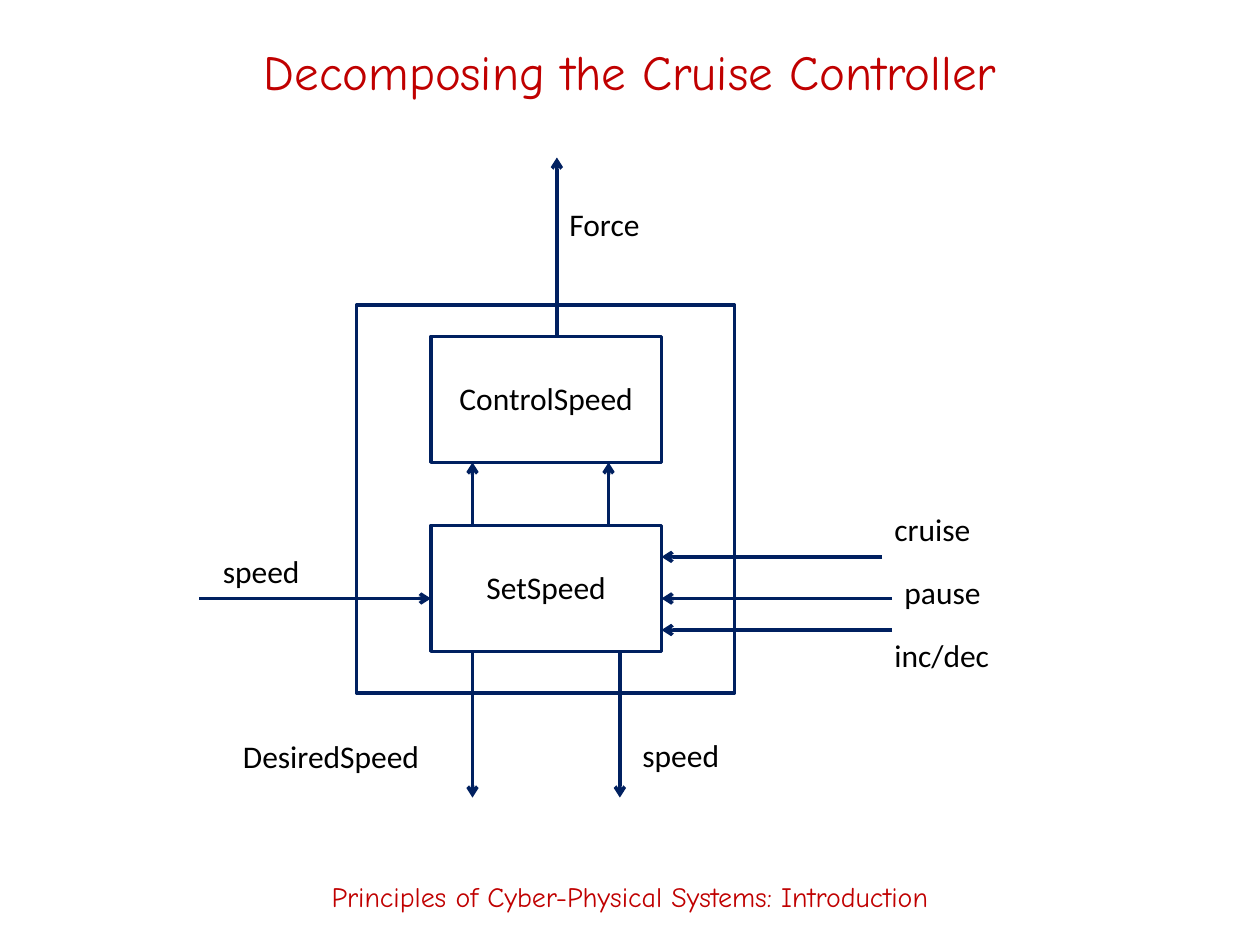
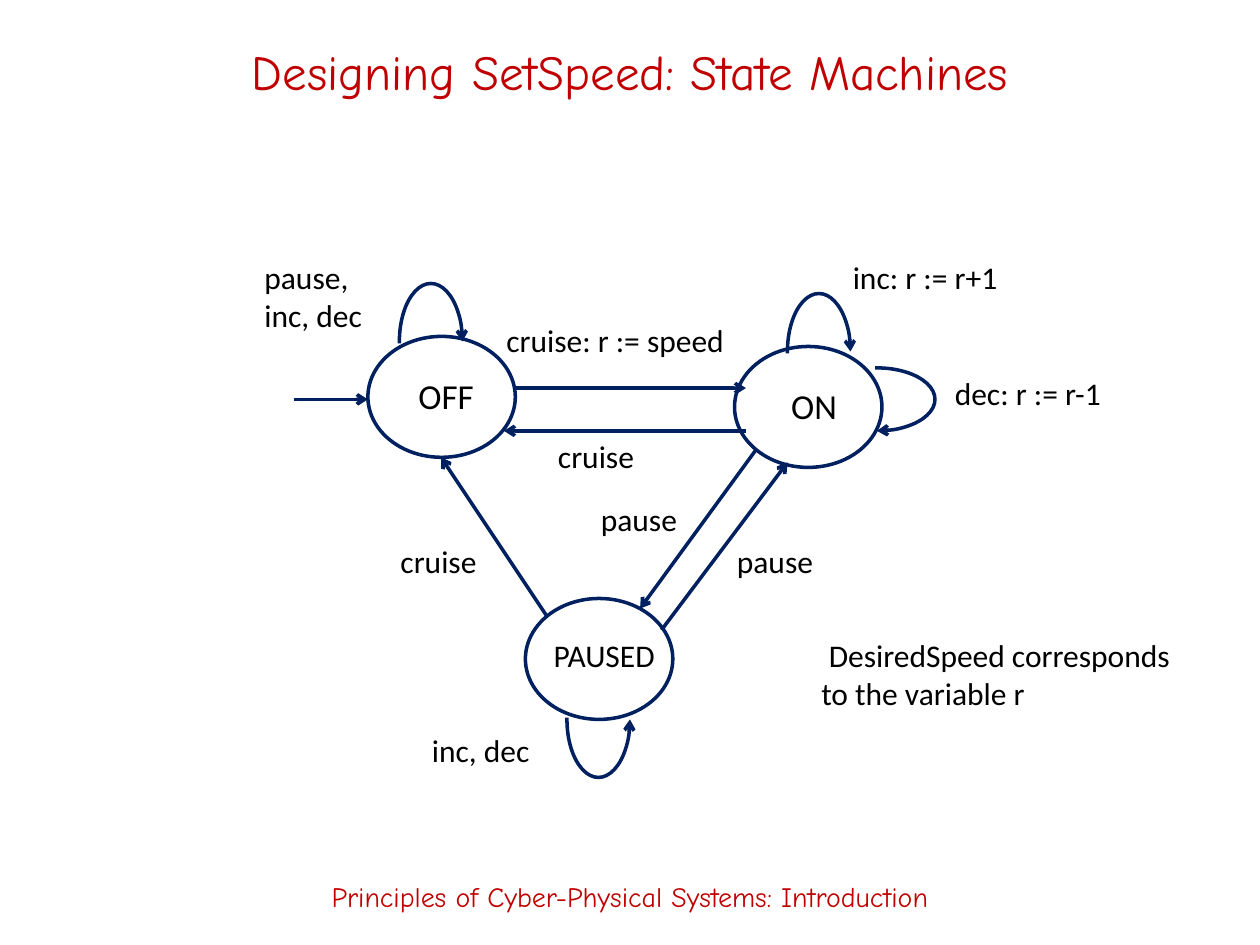
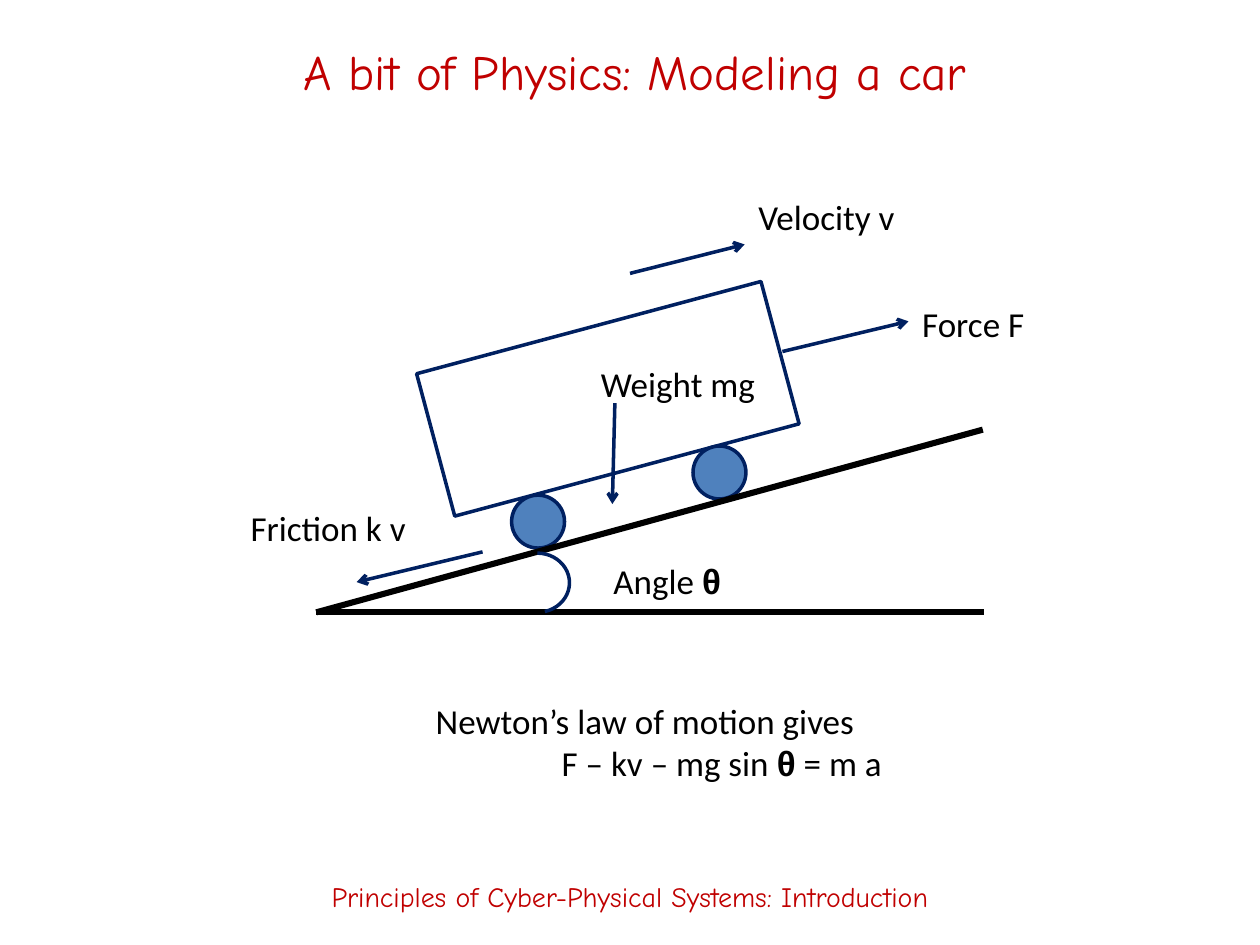
import pptx
import pptx.dml.color
import pptx.enum.shapes
import pptx.enum.text
import pptx.util
import lxml.etree
from pptx.util import Inches

NAVY = "002060"
RED = "C00000"
BLACK = "000000"
WHEEL_BLUE = "4F81BD"
BODY_FONT = "Calibri"
HEADING_FONT = "Comic Neue"
FOOTER = "Principles of Cyber-Physical Systems: Introduction"
STATE_SIZE = (1.17, 0.96)
BLOCK_SIZE = (1.83, 1)
WHEEL_SIZE = (0.42, 0.42)
LOOP_SIZE = (0.5, 0.92)
LOOP_ANGLES = (105.92, 0)
SLOPE_ROTATION = 345

SHAPES = pptx.enum.shapes.MSO_SHAPE
CENTER = pptx.enum.text.PP_ALIGN.CENTER


def color(value):
    return pptx.dml.color.RGBColor.from_string(value)


def format_font(font, size, name=BODY_FONT, fill=BLACK):
    font.size = pptx.util.Pt(size)
    font.name = name
    font.color.rgb = color(fill)


def format_line(line, fill=NAVY, width=2):
    line.color.rgb = color(fill)
    line.width = pptx.util.Pt(width)


def add_arrowhead(shape):
    line = shape.line._get_or_add_ln()
    lxml.etree.SubElement(line, pptx.oxml.ns.qn("a:tailEnd"), type="arrow")


def add_heading(frame, text, size):
    frame.word_wrap = True
    frame.vertical_anchor = pptx.enum.text.MSO_ANCHOR.MIDDLE
    paragraph = frame.paragraphs[0]
    paragraph.text = text
    paragraph.alignment = CENTER
    format_font(paragraph.font, size, HEADING_FONT, RED)


def add_slide(presentation, title, left=0.5, width=9):
    slide = presentation.slides.add_slide(presentation.slide_layouts[5])
    shape = slide.shapes.title
    shape.left, shape.top = Inches(left), Inches(0.17)
    shape.width, shape.height = Inches(width), Inches(0.78)
    add_heading(shape.text_frame, title, 28)
    footer = slide.shapes.add_textbox(0, Inches(6.72), Inches(10), Inches(0.78))
    add_heading(footer.text_frame, FOOTER, 16)
    return slide


def add_label(slide, text, left, top, width, height=0.4, size=18, alignment=None, wrap=True):
    box = slide.shapes.add_textbox(Inches(left), Inches(top), Inches(width), Inches(height))
    frame = box.text_frame
    frame.word_wrap = wrap
    frame.auto_size = pptx.enum.text.MSO_AUTO_SIZE.SHAPE_TO_FIT_TEXT
    paragraph = frame.paragraphs[0]
    paragraph.text = text
    paragraph.alignment = alignment
    format_font(paragraph.font, size)
    return frame


def indent_first_line(paragraph, distance):
    paragraph._p.get_or_add_pPr().set("indent", str(Inches(distance)))


def add_theta(paragraph):
    run = paragraph.add_run()
    run.text = "θ"
    run.font.name = "Arial"
    run.font.bold = True


def add_outline(slide, kind, left, top, size, fill=None, rotation=0):
    width, height = size
    shape = slide.shapes.add_shape(kind, Inches(left), Inches(top), Inches(width), Inches(height))
    shape.shadow.inherit = False
    shape.rotation = rotation
    if fill:
        shape.fill.solid()
        shape.fill.fore_color.rgb = color(fill)
    else:
        shape.fill.background()
    format_line(shape.line)
    return shape


def add_arc(slide, left, top, size, angles, rotation=0):
    arc = add_outline(slide, SHAPES.ARC, left, top, size, rotation=rotation)
    arc.adjustments[0], arc.adjustments[1] = angles
    return arc


def add_loop(slide, left, top, rotation=0, flipped=False):
    loop = add_arc(slide, left, top, LOOP_SIZE, LOOP_ANGLES, rotation)
    add_arrowhead(loop)
    if flipped:
        loop._element.spPr.xfrm.set("flipV", "1")


def add_line(slide, start, end, fill=NAVY, width=2):
    points = [Inches(value) for value in (*start, *end)]
    line = slide.shapes.add_connector(pptx.enum.shapes.MSO_CONNECTOR.STRAIGHT, *points)
    format_line(line.line, fill, width)
    properties = line._element.spPr
    lxml.etree.SubElement(properties, pptx.oxml.ns.qn("a:effectLst"))
    return line


def add_arrow(slide, start, end):
    add_arrowhead(add_line(slide, start, end))


def add_state(slide, name, left, top, label_left, label_width, label_size):
    add_outline(slide, SHAPES.OVAL, left, top, STATE_SIZE)
    add_label(slide, name, label_left, top + 0.25, label_width, size=label_size, alignment=CENTER)


def build_decomposition(presentation):
    slide = add_slide(presentation, "Decomposing the Cruise Controller")
    add_outline(slide, SHAPES.RECTANGLE, 2.83, 2.42, (3, 3.08))
    for name, top in (("ControlSpeed", 2.67), ("SetSpeed", 4.17)):
        add_outline(slide, SHAPES.RECTANGLE, 3.42, top, BLOCK_SIZE)
        add_label(slide, name, 3.42, top + 0.29, BLOCK_SIZE[0], alignment=CENTER)
    for start, end in (
        ((7, 4.42), (5.25, 4.42)),
        ((7.08, 4.75), (5.25, 4.75)),
        ((7.08, 5), (5.25, 5)),
        ((1.58, 4.75), (3.42, 4.75)),
        ((4.92, 5.17), (4.92, 6.33)),
        ((3.75, 5.17), (3.75, 6.33)),
        ((4.42, 2.67), (4.42, 1.25)),
        ((3.75, 4.17), (3.75, 3.67)),
        ((4.83, 4.17), (4.83, 3.67)),
    ):
        add_arrow(slide, start, end)
    for text, left, top, width in (
        ("cruise", 7, 4, 1.25),
        ("pause", 7.08, 4.5, 1.83),
        ("inc/dec", 7, 5, 1.25),
        ("speed", 1.67, 4.33, 1.25),
        ("speed", 5, 5.79, 1.25),
        ("DesiredSpeed", 1.83, 5.8, 2),
        ("Force", 4.42, 1.58, 1.25),
    ):
        add_label(slide, text, left, top, width)


def build_state_machine(presentation):
    slide = add_slide(presentation, "Designing SetSpeed: State Machines")
    add_state(slide, "OFF", 2.92, 2.67, 3.08, 0.92, 20)
    add_state(slide, "ON", 5.83, 2.75, 6, 0.92, 20)
    add_state(slide, "PAUSED", 4.17, 4.75, 4.17, 1.25, 18)
    add_loop(slide, 3.17, 2.25)
    add_loop(slide, 6.25, 2.33)
    add_loop(slide, 6.71, 2.71, rotation=90)
    add_loop(slide, 4.5, 5.25, flipped=True)
    for start, end in (
        ((2.33, 3.17), (2.92, 3.17)),
        ((4.08, 3.08), (5.92, 3.08)),
        ((5.92, 3.42), (4, 3.42)),
        ((6, 3.57), (5.08, 4.83)),
        ((5.25, 5), (6.25, 3.67)),
        ((4.34, 4.89), (3.5, 3.63)),
    ):
        add_arrow(slide, start, end)
    for text, left, top, width in (
        ("cruise: r := speed", 3.92, 2.5, 2.33),
        ("cruise", 4.33, 3.42, 1.25),
        ("pause", 4.67, 3.92, 1.25),
        ("pause", 5.75, 4.25, 1.25),
        ("cruise", 3.08, 4.25, 1.25),
        ("inc: r := r+1", 6.67, 2, 2.83),
        ("dec: r := r-1", 7.48, 2.92, 1.94),
        ("inc, dec", 3.33, 5.75, 1.42),
    ):
        add_label(slide, text, left, top, width)
    add_label(slide, "pause, inc, dec", 2, 2, 1.25, 0.71)
    note = add_label(slide, "DesiredSpeed corresponds to the variable r", 6.42, 5, 3, 0.71)
    indent_first_line(note.paragraphs[0], 0.06)


def build_car_model(presentation):
    slide = add_slide(presentation, "A bit of Physics: Modeling a car", 0.75, 8.58)
    add_outline(slide, SHAPES.RECTANGLE, 3.41, 2.58, (2.83, 1.17), rotation=SLOPE_ROTATION)
    for left, top in ((5.5, 3.54), (4.06, 3.93)):
        add_outline(slide, SHAPES.OVAL, left, top, WHEEL_SIZE, WHEEL_BLUE, SLOPE_ROTATION)
    for end in ((7.8, 3.41), (7.81, 4.86)):
        add_line(slide, (2.51, 4.86), end, BLACK, 3.5)
    add_arc(slide, 4.01, 4.39, (0.51, 0.47), (162, 45.19))
    for start, end in (
        ((5, 2.17), (5.91, 1.94)),
        ((6.21, 2.79), (7.21, 2.55)),
        ((3.83, 4.38), (2.83, 4.62)),
        ((4.88, 3.2), (4.86, 4)),
    ):
        add_arrow(slide, start, end)
    for text, left, top, width in (
        ("Velocity v", 5.92, 1.5, 1.57),
        ("Force F", 7.22, 2.35, 1.02),
        ("Friction k v", 1.89, 3.97, 1.45),
        ("Weight mg", 4.67, 2.83, 1.44),
    ):
        add_label(slide, text, left, top, width, 0.44, 20, wrap=False)
    angle = add_label(slide, "Angle ", 4.77, 4.39, 1.16, 0.44, 20, wrap=False)
    add_theta(angle.paragraphs[0])
    law = add_label(slide, "Newton’s law of motion gives", 3.36, 5.5, 5.39, 0.77, 20)
    formula = law.add_paragraph()
    indent_first_line(formula, 1)
    format_font(formula.font, 20)
    formula.add_run().text = "F – kv – mg sin "
    add_theta(formula)
    formula.add_run().text = " = m a"


def main():
    presentation = pptx.Presentation()
    presentation.slide_width = Inches(10)
    presentation.slide_height = Inches(7.5)
    build_decomposition(presentation)
    build_state_machine(presentation)
    build_car_model(presentation)
    presentation.save("out.pptx")


if __name__ == "__main__":
    main()
